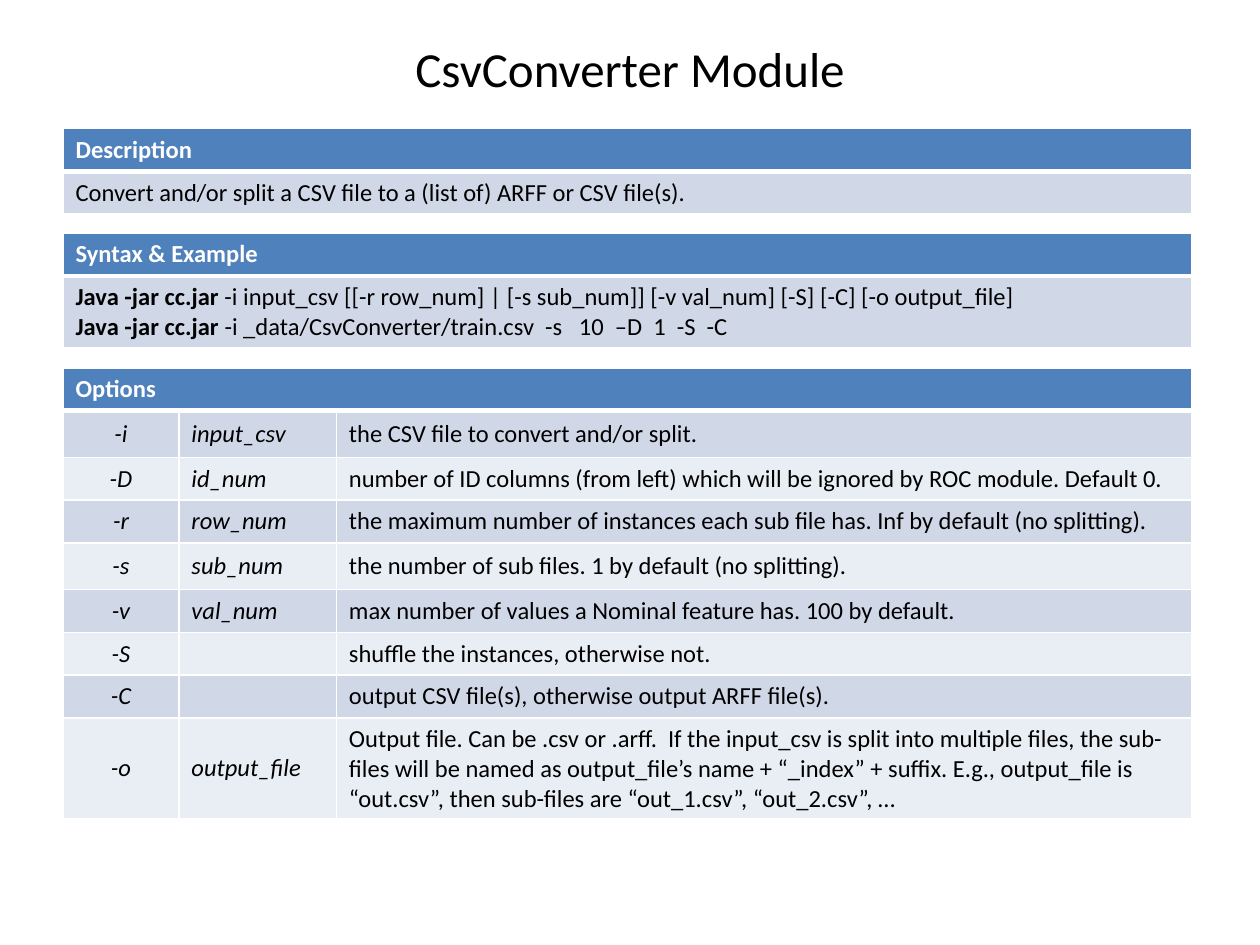
"""Build the CsvConverter Module slide: a title above three stacked tables."""
import pptx
import pptx.util
import pptx.dml.color
import pptx.enum.text
import pptx.oxml.ns
import lxml.etree

Inches, Pt = pptx.util.Inches, pptx.util.Pt
qn = pptx.oxml.ns.qn
ALIGN = pptx.enum.text.PP_ALIGN
MIDDLE = pptx.enum.text.MSO_ANCHOR.MIDDLE

TITLE = "CsvConverter Module"
COMMAND = "Java -jar cc.jar"
DESCRIPTION = [[[[("Convert and/or split a CSV file to a (list of) ARFF or CSV file(s).", "")]]]]
SYNTAX = [[[
    [(COMMAND, "b"),
     (" -i input_csv [[-r row_num] | [-s sub_num]] [-v val_num] [-S] [-C] [-o output_file]", "")],
    [(COMMAND + " ", "b"),
     ("-i _data/CsvConverter/train.csv  -s   10  –D  1  -S  -C ", "")],
]]]
OPTIONS = [
    ("-i", "input_csv", "the CSV file to convert and/or split."),
    ("-D", "id_num", "number of ID columns (from left) which will be ignored by ROC module. Default 0. "),
    ("-r", "row_num", "the maximum number of instances each sub file has. Inf by default (no splitting)."),
    ("-s", "sub_num", "the number of sub files. 1 by default (no splitting)."),
    ("-v", "val_num", "max number of values a Nominal feature has. 100 by default."),
    ("-S", "", "shuffle the instances, otherwise not."),
    ("-C", "", "output CSV file(s), otherwise output ARFF file(s)."),
    ("-o", "output_file",
     "Output file. Can be .csv or .arff.  If the input_csv is split into multiple files, "
     "the sub-files will be named as output_file’s name + “_index” + suffix. E.g., output_file is "
     "“out.csv”, then sub-files are “out_1.csv”, “out_2.csv”, …"),
]
OPTION_ROWS = [[[[(text, style)]] for text, style in zip(row, ("i", "i", ""))] for row in OPTIONS]

LINE, TALL = 0.34, 0.37
TABLES = [
    ("Description", 1.02, [8.96], [LINE, LINE], DESCRIPTION),
    ("Syntax & Example", 1.85, [8.96], [LINE, 0.56], SYNTAX),
    ("Options", 2.92, [0.92, 1.25, 6.79],
     [LINE, TALL, LINE, LINE, TALL, LINE, LINE, LINE, 0.8], OPTION_ROWS),
]
HEADER, BANDS, WHITE, BLACK = "4F81BD", ("D0D8E8", "E9EDF4"), "FFFFFF", "000000"


def color(value):
    return pptx.dml.color.RGBColor.from_string(value)


def write(frame, paragraphs, size, ink, align=None):
    for index, spans in enumerate(paragraphs):
        para = frame.paragraphs[0] if index == 0 else frame.add_paragraph()
        para.alignment = align
        for text, style in spans:
            if not text:
                lxml.etree.SubElement(para._p, qn("a:endParaRPr"), sz=str(size * 100))
                continue
            span = para.add_run()
            span.text = text
            look = {"name": "Calibri", "size": Pt(size), "bold": "b" in style, "italic": "i" in style}
            for name, value in look.items():
                setattr(span.font, name, value)
            span.font.color.rgb = color(ink)


def border(cell, widths):
    properties = cell._tc.get_or_add_tcPr()
    for index, (side, width) in enumerate(widths.items()):
        line = lxml.etree.Element(qn("a:ln" + side), w=str(int(Pt(width))))
        fill = lxml.etree.SubElement(line, qn("a:solidFill"))
        lxml.etree.SubElement(fill, qn("a:srgbClr"), val=WHITE)
        properties.insert(index, line)


def style_cell(cell, fill, widths):
    cell.vertical_anchor = MIDDLE
    cell.fill.solid()
    cell.fill.fore_color.rgb = color(fill)
    border(cell, widths)


def add_section(page, heading, top, columns, heights, body):
    frame = page.shapes.add_table(len(heights), len(columns), Inches(0.5), Inches(top),
                                  Inches(sum(columns)), Inches(sum(heights)))
    table = frame.table
    for column, width in zip(table.columns, columns):
        column.width = Inches(width)
    for row, height in zip(table.rows, heights):
        row.height = Inches(height)
    for cell in table.rows[0].cells:
        style_cell(cell, HEADER, {"L": 1, "R": 1, "T": 1, "B": 3})
    if len(columns) > 1:
        table.cell(0, 0).merge(table.cell(0, len(columns) - 1))
    write(table.cell(0, 0).text_frame, [[(heading, "b")]], 14, WHITE)
    for r, row in enumerate(body):
        sides = "LRB" if r == 0 else "LRTB"
        for c, paragraphs in enumerate(row):
            cell = table.cell(r + 1, c)
            style_cell(cell, BANDS[r % 2], dict.fromkeys(sides, 1))
            centred = len(columns) > 1 and c == 0
            write(cell.text_frame, paragraphs, 14, BLACK, ALIGN.CENTER if centred else None)


deck = pptx.Presentation()
deck.slide_width, deck.slide_height = Inches(10), Inches(7.5)
page = deck.slides.add_slide(deck.slide_layouts[6])
title = page.shapes.add_textbox(Inches(0.5), Inches(0.25), Inches(9), Inches(0.58))
title.text_frame.word_wrap = True
title.text_frame.vertical_anchor = MIDDLE
write(title.text_frame, [[(TITLE, "")]], 28, BLACK, ALIGN.CENTER)
for section in TABLES:
    add_section(page, *section)
deck.save("out.pptx")
